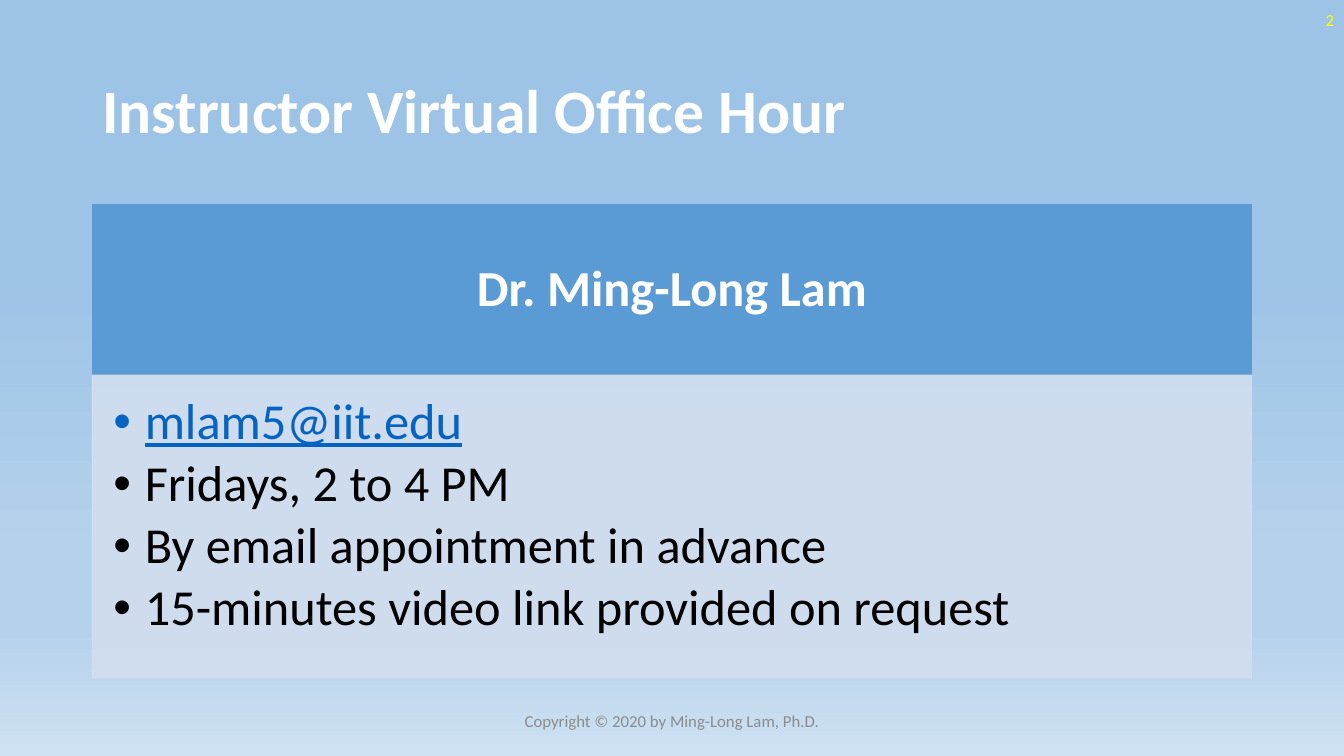
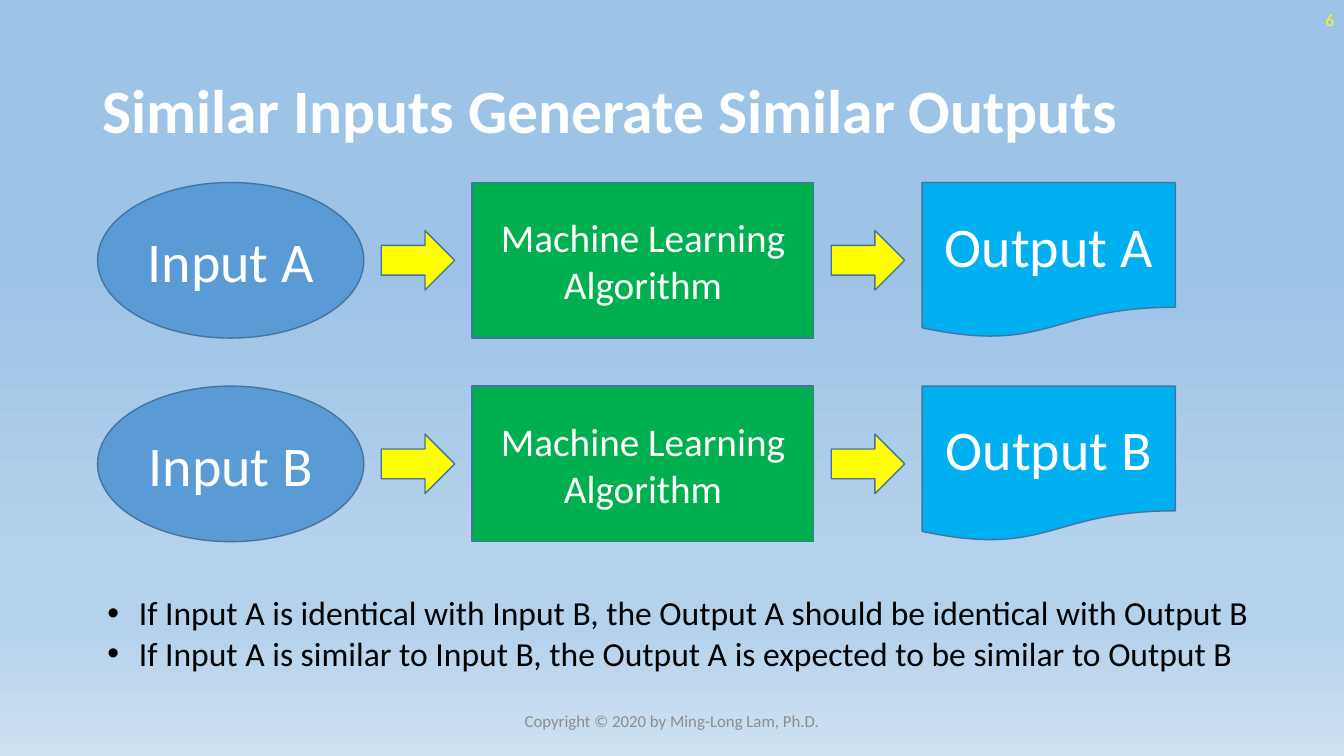
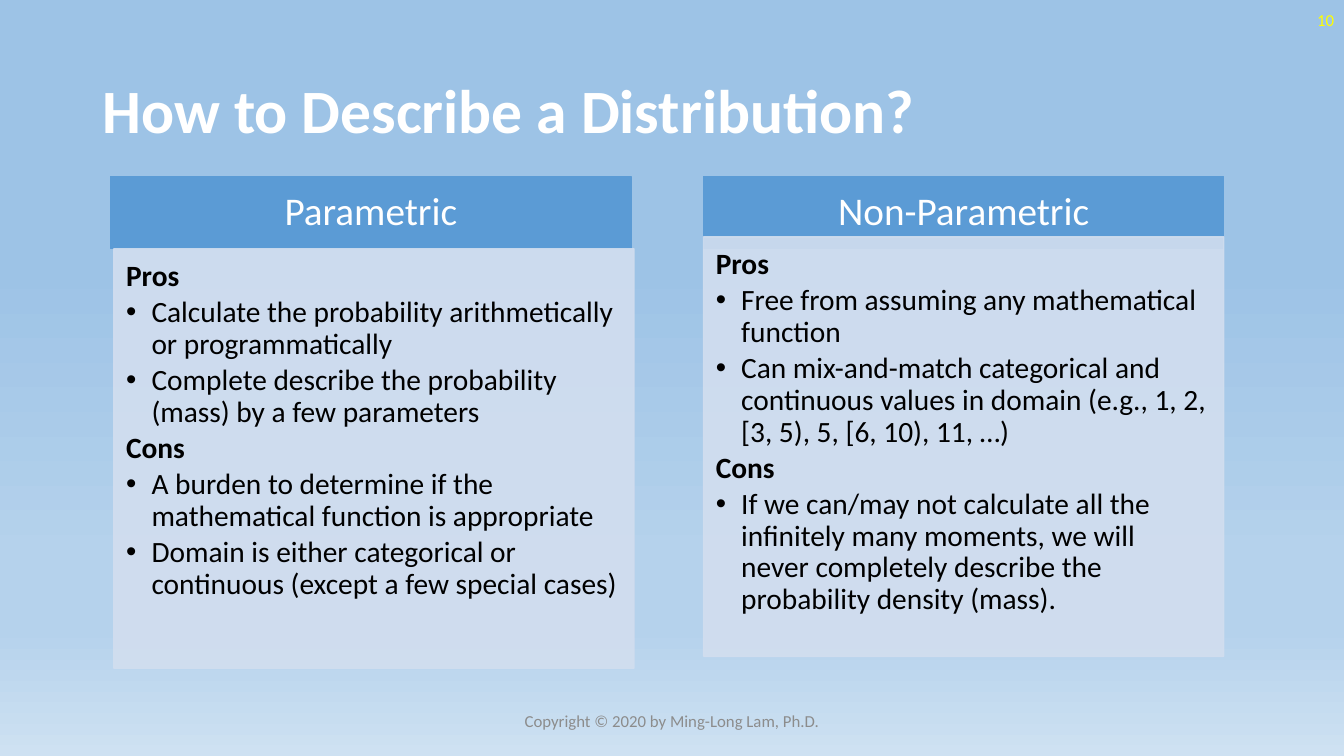
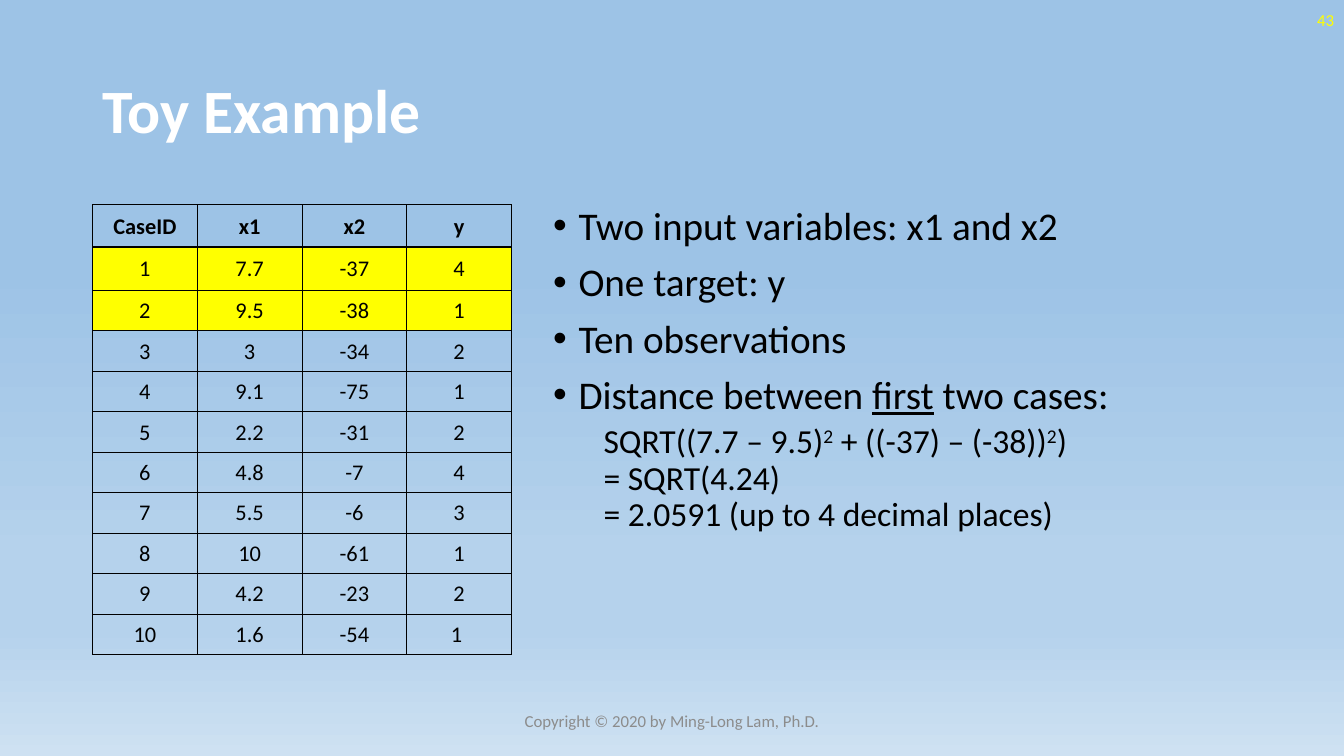
from dataclasses import dataclass, replace
from typing import NamedTuple

from lxml.etree import SubElement
from pptx import Presentation
from pptx.dml.color import RGBColor
from pptx.enum.shapes import MSO_SHAPE as Preset
from pptx.enum.text import MSO_ANCHOR as Anchor, PP_ALIGN as Align
from pptx.oxml.ns import qn
from pptx.util import Cm, Pt


@dataclass(frozen=True)
class Theme:
    font: str = "Calibri"
    white: str = "FFFFFF"
    black: str = "000000"
    yellow: str = "FFFF00"
    gray: str = "8C8C8C"
    link: str = "0563C1"
    blue: str = "5B9BD5"
    panel: str = "D2DEEF"
    outline: str = "43739E"
    green: str = "00B050"
    cyan: str = "00B0F0"
    backdrop: tuple = ((35, "9DC3E6"), (74, "B5D2EC"), (83, "B5D2EC"), (100, "CEE1F2"))
    title_size: int = 44
    display_size: int = 40
    large_size: int = 36
    medium_size: int = 28
    small_size: int = 24
    compact_size: int = 21
    table_size: int = 16
    note_size: int = 12


THEME = Theme()


class Box(NamedTuple):
    """A rectangle in centimetres."""
    left: float
    top: float
    width: float
    height: float

    @property
    def lengths(self):
        return [Cm(value) for value in self]


@dataclass(frozen=True)
class Style:
    """Look of a paragraph; indents in centimetres, spacing in points."""
    size: float
    color: str = THEME.black
    bold: bool = False
    underline: bool = False
    align: Align = Align.LEFT
    bullet: bool = False
    margin: float = 0
    hanging: float = 0
    line_spacing: float = 1
    before: float = 0
    after: float = 0


TITLE = Style(THEME.title_size, THEME.white, bold=True, line_spacing=0.9)
FOOTER = Style(THEME.note_size, THEME.gray, align=Align.CENTER)
PAGE_NUMBER = Style(THEME.note_size, THEME.yellow, align=Align.RIGHT)
BREAK = "\n"


def rgb(color):
    return RGBColor.from_string(color)


def add_span(para, text, style, superscript=False):
    span = para.add_run()
    span.text = text
    font = span.font
    font.name, font.size = THEME.font, Pt(style.size)
    font.bold, font.underline = style.bold, style.underline
    font.color.rgb = rgb(style.color)
    if superscript:
        font._element.set("baseline", "30000")


def format_paragraph(para, style, is_first):
    properties = para._p.get_or_add_pPr()
    properties.set("marL", str(Cm(style.margin)))
    properties.set("indent", str(-Cm(style.hanging)))
    if style.bullet:
        SubElement(properties, qn("a:buFont"), typeface="Arial")
        SubElement(properties, qn("a:buChar"), char="•")
    else:
        SubElement(properties, qn("a:buNone"))
    para.alignment = style.align
    para.line_spacing = style.line_spacing
    para.space_before = Pt(0 if is_first else style.before)
    para.space_after = Pt(style.after)


def write(frame, *paragraphs, anchor=Anchor.TOP, insets=None):
    """Fill a frame with (style, span, ...) tuples; a span is a text or (text, changes)."""
    frame.word_wrap = True
    frame.vertical_anchor = anchor
    if insets:
        (frame.margin_left, frame.margin_top,
         frame.margin_right, frame.margin_bottom) = [Cm(inset) for inset in insets]
    for index, (style, *spans) in enumerate(paragraphs):
        para = frame.add_paragraph() if index else frame.paragraphs[0]
        format_paragraph(para, style, index == 0)
        for span in spans:
            if span == BREAK:
                para.add_line_break()
                continue
            text, changes = (span, {}) if isinstance(span, str) else span
            superscript = changes.get("superscript", False)
            looks = {key: value for key, value in changes.items() if key != "superscript"}
            add_span(para, text, replace(style, **looks), superscript)


def add_text(page, box, *paragraphs, anchor=Anchor.TOP):
    write(page.shapes.add_textbox(*box.lengths).text_frame, *paragraphs, anchor=anchor)


def add_block(page, preset, box, fill, line, opacity=100):
    block = page.shapes.add_shape(preset, *box.lengths)
    block.shadow.inherit = False
    block.fill.solid()
    block.fill.fore_color.rgb = rgb(fill)
    block.line.color.rgb = rgb(line)
    block.line.width = Pt(1)
    if opacity < 100:
        for color in block._element.spPr.findall(".//" + qn("a:srgbClr")):
            SubElement(color, qn("a:alpha"), val=str(opacity * 1000))
    return block


def paint_backdrop(master):
    fill = master.background.fill
    fill.gradient()
    fill.gradient_angle = 270
    stops = master._element.find(".//" + qn("p:bg")).find(".//" + qn("a:gsLst"))
    for stop in list(stops):
        stops.remove(stop)
    for position, color in THEME.backdrop:
        stop = SubElement(stops, qn("a:gs"), pos=str(position * 1000))
        SubElement(stop, qn("a:srgbClr"), val=color)


def add_page(deck, title, number):
    page = deck.slides.add_slide(deck.slide_layouts.get_by_name("Title Only"))
    heading = page.shapes.title
    heading.left, heading.top, heading.width, heading.height = Box(2.33, 1.01, 29.21, 3.68).lengths
    write(heading.text_frame, (TITLE, title), anchor=Anchor.MIDDLE)
    add_text(page, Box(26.25, 0, 7.62, 1.02), (PAGE_NUMBER, str(number)), anchor=Anchor.MIDDLE)
    add_text(page, Box(11.22, 17.65, 11.43, 1.02),
             (FOOTER, "Copyright © 2020 by Ming-Long Lam, Ph.D."), anchor=Anchor.MIDDLE)
    return page


def add_card(page, box, header_height, heading, heading_style, body_style, lines, shift=(0, 0)):
    """Header bar over a pale panel; a line is (is_bullet, span), shift moves the panel."""
    header = add_block(page, Preset.RECTANGLE, box._replace(height=header_height),
                       THEME.blue, THEME.blue)
    side, edge = heading_style.size * 0.02, heading_style.size * 0.011
    write(header.text_frame, (heading_style, heading),
          anchor=Anchor.MIDDLE, insets=(side, edge, side, edge))

    panel_box = Box(box.left + shift[0], box.top + header_height + shift[1],
                    box.width, box.height - header_height)
    panel = add_block(page, Preset.RECTANGLE, panel_box, THEME.panel, THEME.panel, opacity=90)
    paragraphs = [(replace(body_style, bullet=is_bullet, bold=not is_bullet), span)
                  for is_bullet, span in lines]
    write(panel.text_frame, *paragraphs,
          insets=[body_style.size * part for part in (0.0147, 0.0147, 0.0195, 0.022)])


def card_styles(heading_size, body_size, indent, heading_bold=False):
    heading = Style(heading_size, THEME.white, bold=heading_bold, align=Align.CENTER,
                    line_spacing=0.9)
    body = Style(body_size, margin=indent, hanging=indent, line_spacing=0.9,
                 after=round(body_size * 0.15, 2))
    return heading, body


def add_flow(page, box, letter):
    """Input, algorithm and output from left to right, an arrow centred in each gap."""
    gap, arrow_width, arrow_height = 2.73, 1.85, 1.5
    steps = (
        (Preset.OVAL, 6.71, THEME.blue, f"Input {letter}", THEME.display_size),
        (Preset.RECTANGLE, 8.61, THEME.green, "Machine Learning Algorithm", THEME.medium_size),
        (Preset.FLOWCHART_DOCUMENT, 6.38, THEME.cyan, f"Output {letter}", THEME.display_size),
    )
    left = box.left
    for index, (preset, width, fill, label, size) in enumerate(steps):
        if index:
            arrow_box = Box(left - (gap + arrow_width) / 2,
                            box.top + (box.height - arrow_height) / 2,
                            arrow_width, arrow_height)
            add_block(page, Preset.RIGHT_ARROW, arrow_box, THEME.yellow, THEME.outline)
        step = add_block(page, preset, Box(left, box.top, width, box.height), fill, THEME.outline)
        write(step.text_frame, (Style(size, THEME.white, align=Align.CENTER), label),
              anchor=Anchor.MIDDLE)
        left += width + gap


def set_borders(cell, top, bottom):
    properties = cell._tc.get_or_add_tcPr()
    for side, width in (("L", 0.5), ("R", 0.5), ("T", top), ("B", bottom)):
        line = SubElement(properties, qn(f"a:ln{side}"), w=str(Pt(width)))
        SubElement(SubElement(line, qn("a:solidFill")), qn("a:srgbClr"), val=THEME.black)


def add_case_table(page, box, rows, marked_rows):
    table = page.shapes.add_table(len(rows), len(rows[0]), *box.lengths).table
    table.first_row = table.horz_banding = False
    for column in table.columns:
        column.width = Cm(box.width / len(rows[0]))
    for row_index, values in enumerate(rows):
        table.rows[row_index].height = Cm(1.08 if row_index < 2 else 1.02)
        style = Style(THEME.table_size, bold=row_index == 0, align=Align.CENTER)
        for column_index, value in enumerate(values):
            cell = table.cell(row_index, column_index)
            cell.margin_left = cell.margin_top = cell.margin_right = Cm(0.03)
            cell.margin_bottom = Cm(0)
            cell.vertical_anchor = Anchor.MIDDLE
            para = cell.text_frame.paragraphs[0]
            para.alignment = style.align
            add_span(para, value, style)
            set_borders(cell, top=2 if row_index == 1 else 0.5,
                        bottom=2 if row_index == 0 else 0.5)
            if row_index in marked_rows:
                cell.fill.solid()
                cell.fill.fore_color.rgb = rgb(THEME.yellow)
            else:
                cell.fill.background()


def build_office_hour(deck):
    page = add_page(deck, "Instructor Virtual Office Hour", 2)
    heading, body = card_styles(THEME.large_size, THEME.large_size, 0.79, heading_bold=True)
    add_card(page, Box(2.33, 5.15, 29.21, 11.93), 4.31, "Dr. Ming-Long Lam", heading, body, (
        (True, ("mlam5@iit.edu", {"color": THEME.link, "underline": True})),
        (True, "Fridays, 2 to 4 PM"),
        (True, "By email appointment in advance"),
        (True, "15-minutes video link provided on request"),
    ))


def build_similar_outputs(deck):
    page = add_page(deck, "Similar Inputs Generate Similar Outputs", 6)
    for letter, top in (("A", 4.6), ("B", 9.73)):
        add_flow(page, Box(2.46, top, 27.16, 3.92), letter)
    rule = Style(THEME.small_size, bullet=True, margin=0.79, hanging=0.79)
    add_text(
        page, Box(2.46, 14.8, 29.74, 2.31),
        (rule, "If Input A is identical with Input B, the Output A should be identical with Output B"),
        (rule, "If Input A is similar to Input B, the Output A is expected to be similar to Output B"))


def build_distribution(deck):
    page = add_page(deck, "How to Describe a Distribution?", 10)
    heading, body = card_styles(THEME.medium_size, THEME.compact_size, 0.64)
    cards = (
        (2.79, "Parametric", (0.08, 0.01), (
            (False, "Pros"),
            (True, "Calculate the probability arithmetically or programmatically"),
            (True, "Complete describe the probability (mass) by a few parameters"),
            (False, "Cons"),
            (True, "A burden to determine if the mathematical function is appropriate"),
            (True, "Domain is either categorical or continuous (except a few special cases)"),
        )),
        (17.73, "Non-Parametric", (0, -0.29), (
            (False, "Pros"),
            (True, "Free from assuming any mathematical function"),
            (True, "Can mix-and-match categorical and continuous values in domain "
                   "(e.g., 1, 2, [3, 5), 5, [6, 10), 11, …)"),
            (False, "Cons"),
            (True, "If we can/may not calculate all the infinitely many moments, we will "
                   "never completely describe the probability density (mass)."),
        )),
    )
    for left, name, shift, lines in cards:
        add_card(page, Box(left, 4.45, 13.11, 12.38), 1.81, name, heading, body, lines, shift)


def build_toy_example(deck):
    page = add_page(deck, "Toy Example", 43)
    cases = (
        ("CaseID", "x1", "x2", "y"),
        ("1", "7.7", "-37", "4"),
        ("2", "9.5", "-38", "1"),
        ("3", "3", "-34", "2"),
        ("4", "9.1", "-75", "1"),
        ("5", "2.2", "-31", "2"),
        ("6", "4.8", "-7", "4"),
        ("7", "5.5", "-6", "3"),
        ("8", "10", "-61", "1"),
        ("9", "4.2", "-23", "2"),
        ("10", "1.6", "-54", "1 "),
    )
    add_case_table(page, Box(2.33, 5.15, 10.56, 11.34), cases, marked_rows=(1, 2))

    point = Style(THEME.medium_size, bullet=True, margin=0.64, hanging=0.64,
                  line_spacing=0.9, before=10)
    formula = Style(THEME.small_size, margin=1.27, line_spacing=0.9, before=5)
    squared = ("2", {"superscript": True})
    add_text(
        page, Box(13.69, 5.08, 17.86, 12.09),
        (point, "Two input variables: x1 and x2"),
        (point, "One target: y"),
        (point, "Ten observations"),
        (point, "Distance between ", ("first", {"underline": True}), " two cases:"),
        (formula, "SQRT((7.7 – 9.5)", squared, " + ((-37) – (-38))", squared, ")",
         BREAK, "= SQRT(4.24)", BREAK, "= 2.0591 (up to 4 decimal places)"))


def main():
    deck = Presentation()
    deck.slide_width, deck.slide_height = Cm(33.87), Cm(19.05)
    paint_backdrop(deck.slide_master)
    for build in (build_office_hour, build_similar_outputs, build_distribution, build_toy_example):
        build(deck)
    deck.save("out.pptx")


if __name__ == "__main__":
    main()
